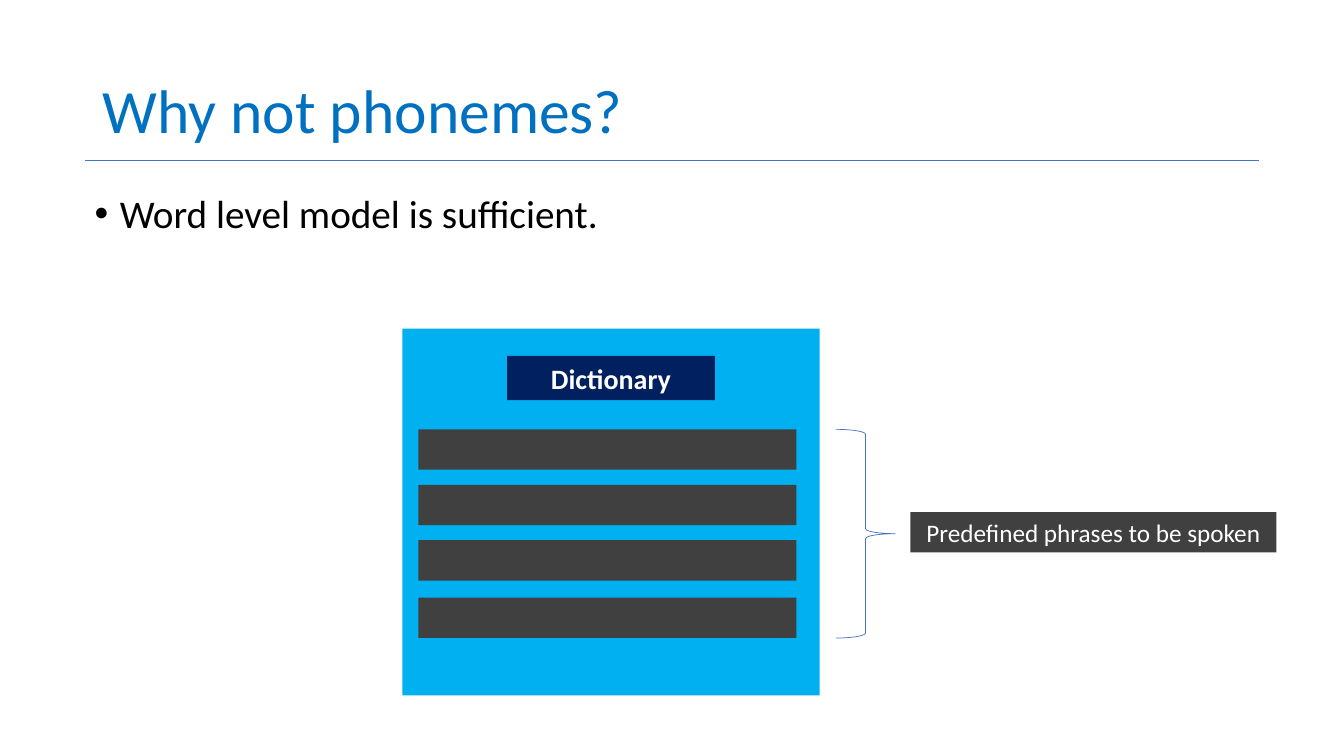
import lxml.etree
import pptx
import pptx.dml.color
import pptx.enum.shapes
import pptx.enum.text
import pptx.oxml.ns
import pptx.util

Inches = pptx.util.Inches
Shapes = pptx.enum.shapes.MSO_SHAPE
Align = pptx.enum.text.PP_ALIGN
Anchor = pptx.enum.text.MSO_ANCHOR

COLORS = {
    "title": "0070C0",
    "body": "000000",
    "rule": "4472C4",
    "panel": "00B0F0",
    "heading": "002060",
    "phrase": "404040",
    "light": "FFFFFF",
}
FONT = "Calibri"

TITLE = ("Why not phonemes?", (0.92, 0.4, 11.5, 1.45))
BULLET = ("Word level model is sufficient.", (0.84, 1.88, 11.5, 4.76))
RULE = (0.84, 1.59, 12.49, 1.59)
PANEL = (3.99, 3.26, 4.14, 3.64)
HEADING = ("Dictionary", (5.03, 3.53, 2.06, 0.44))
LABEL = ("Predefined phrases to be spoken", (9.03, 5.08, 3.63, 0.4))
PHRASE_TOPS = [4.26, 4.81, 5.36, 5.93]
PHRASE_LEFT, PHRASE_WIDTH, PHRASE_HEIGHT = 4.15, 3.75, 0.4
BRACE_LEFT, BRACE_WIDTH = 8.29, 0.59


def rgb(name):
    return pptx.dml.color.RGBColor.from_string(COLORS[name])


def write(shape, text, size, color, align=Align.LEFT, bold=False):
    shape.text_frame.text = text
    para = shape.text_frame.paragraphs[0]
    para.alignment = align
    font = para.runs[0].font
    font.name, font.size, font.bold = FONT, pptx.util.Pt(size), bold
    font.color.rgb = rgb(color)
    return para


def add_block(page, place, color):
    block = page.shapes.add_shape(Shapes.RECTANGLE, *map(Inches, place))
    block.shadow.inherit = False
    block.fill.solid()
    block.fill.fore_color.rgb = rgb(color)
    block.line.fill.background()
    return block


def style_line(line):
    line.color.rgb = rgb("rule")
    line.width = pptx.util.Pt(0.5)


def add_title(page):
    text, place = TITLE
    title = page.shapes.title
    title.left, title.top, title.width, title.height = map(Inches, place)
    title.text_frame.vertical_anchor = Anchor.MIDDLE
    title.text_frame.auto_size = pptx.enum.text.MSO_AUTO_SIZE.NONE
    write(title, text, 44, "title").line_spacing = 0.9


def add_bullet(page):
    text, place = BULLET
    box = page.shapes.add_textbox(*map(Inches, place))
    box.text_frame.word_wrap = True
    para = write(box, text, 28, "body")
    para.line_spacing = 0.9
    properties = para._p.get_or_add_pPr()
    properties.set("marL", str(Inches(0.25)))
    properties.set("indent", str(Inches(-0.25)))
    for tag, name, value in (("a:buFont", "typeface", "Arial"), ("a:buChar", "char", "•")):
        mark = lxml.etree.SubElement(properties, pptx.oxml.ns.qn(tag))
        mark.set(name, value)


def add_rule(page):
    rule = page.shapes.add_connector(
        pptx.enum.shapes.MSO_CONNECTOR.STRAIGHT, *map(Inches, RULE))
    style_line(rule.line)
    lxml.etree.SubElement(rule._element.spPr, pptx.oxml.ns.qn("a:effectLst"))


def add_dictionary(page):
    add_block(page, PANEL, "panel")
    text, place = HEADING
    write(add_block(page, place, "heading"), text, 20, "light", Align.CENTER, True)
    for top in PHRASE_TOPS:
        add_block(page, (PHRASE_LEFT, top, PHRASE_WIDTH, PHRASE_HEIGHT), "phrase")


def add_brace_and_label(page):
    top = PHRASE_TOPS[0]
    height = PHRASE_TOPS[-1] + PHRASE_HEIGHT - top
    brace = page.shapes.add_shape(
        Shapes.RIGHT_BRACE, *map(Inches, (BRACE_LEFT, top, BRACE_WIDTH, height)))
    brace.shadow.inherit = False
    brace.fill.background()
    style_line(brace.line)
    text, place = LABEL
    write(add_block(page, place, "phrase"), text, 18, "light", Align.CENTER)


def main():
    deck = pptx.Presentation()
    deck.slide_width, deck.slide_height = Inches(13.33), Inches(7.5)
    page = deck.slides.add_slide(deck.slide_layouts[5])
    add_title(page)
    add_bullet(page)
    add_rule(page)
    add_dictionary(page)
    add_brace_and_label(page)
    deck.save("out.pptx")


if __name__ == "__main__":
    main()
